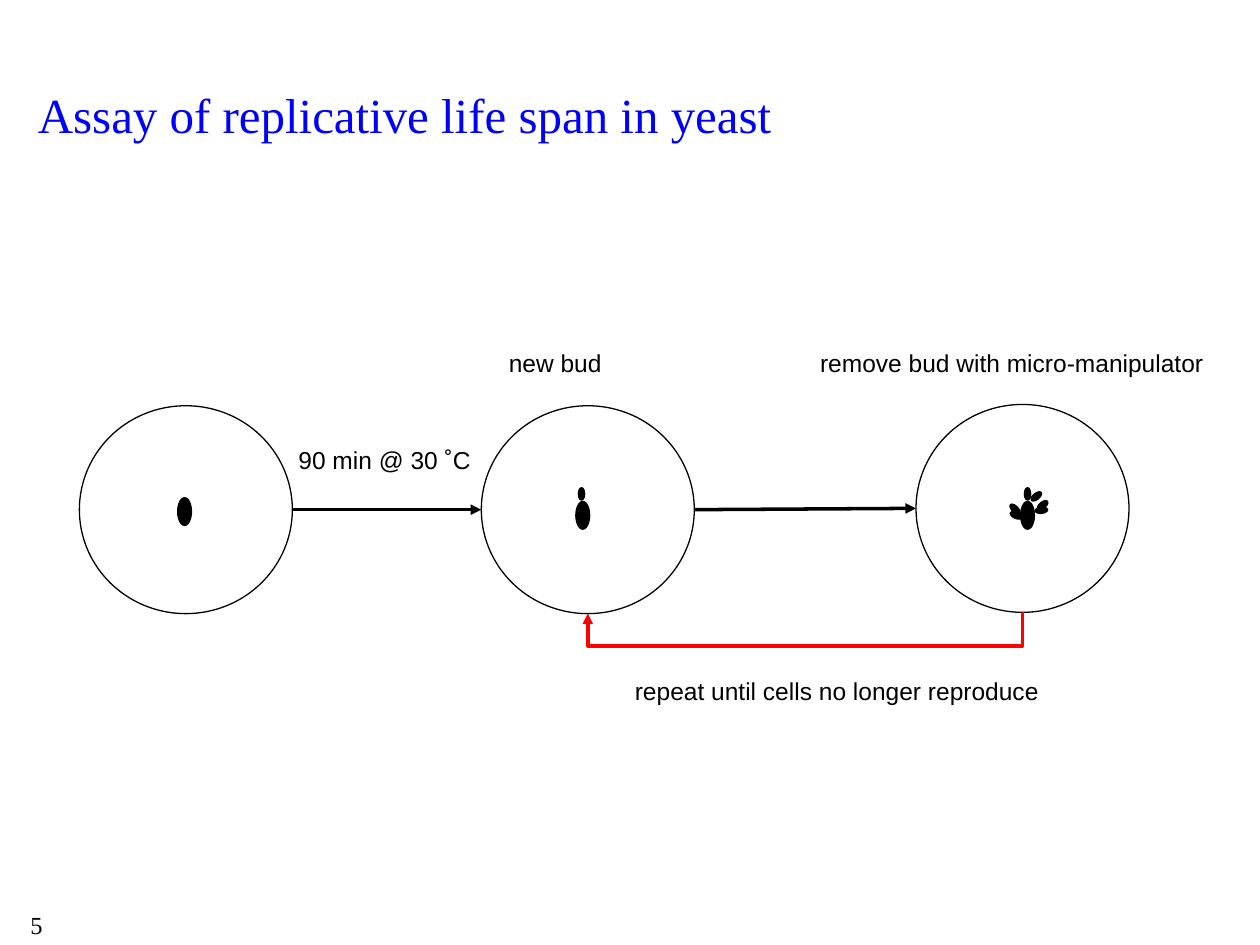
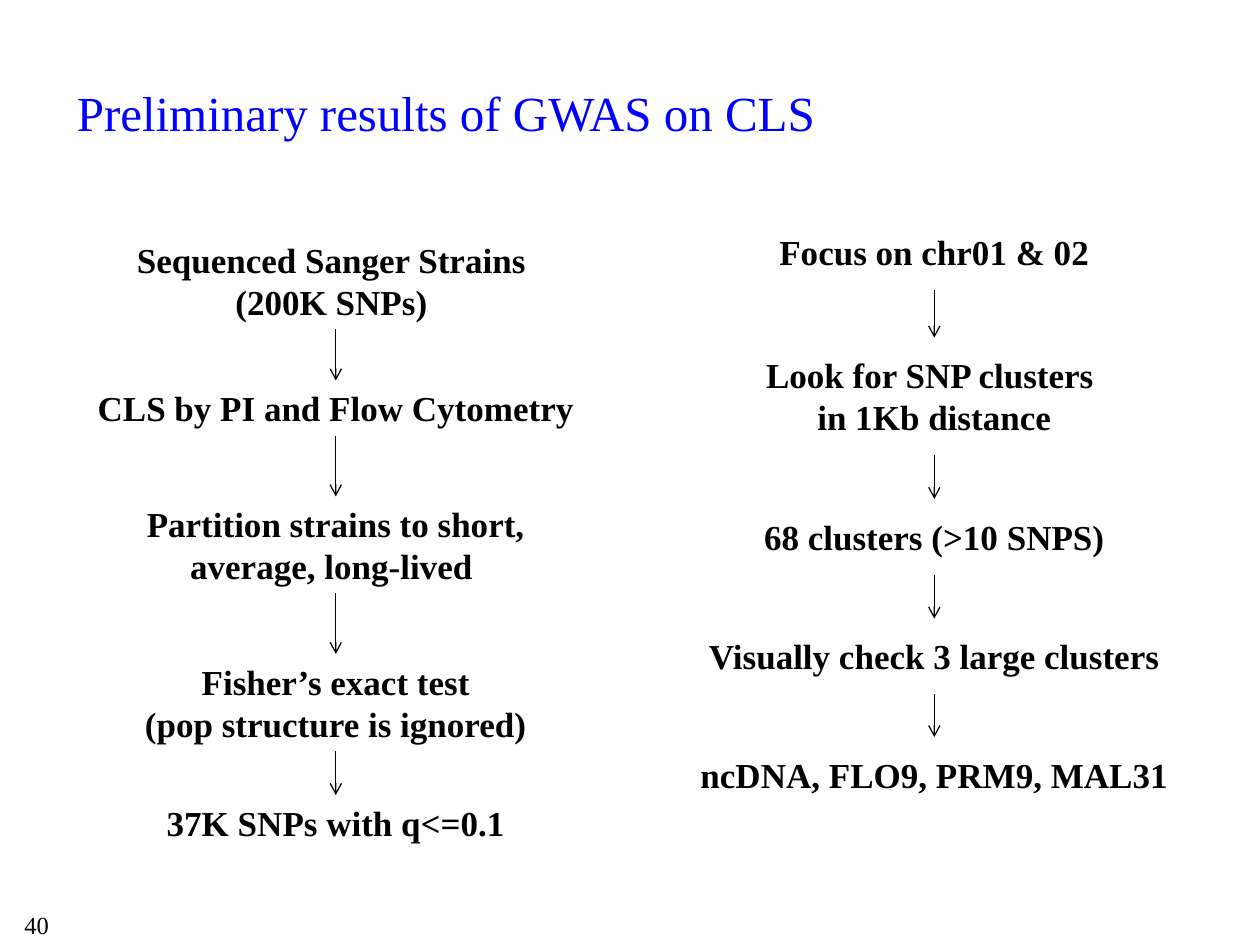
from dataclasses import dataclass

from lxml import etree
from pptx import Presentation
from pptx import util as u
from pptx.dml.color import RGBColor
from pptx.enum import shapes, text
from pptx.oxml.ns import qn


@dataclass(frozen=True)
class Theme:
    title_color: RGBColor = RGBColor(0x00, 0x00, 0xFF)
    ink: RGBColor = RGBColor(0x00, 0x00, 0x00)
    paper: RGBColor = RGBColor(0xFF, 0xFF, 0xFF)
    loop: RGBColor = RGBColor(0xFF, 0x00, 0x00)
    serif: str = "Times New Roman"
    sans: str = "Arial"
    thin: float = 0.75
    thick: float = 2


THEME = Theme()
TITLE = dict(name=THEME.serif, size=u.Pt(28), color=THEME.title_color)
STEP = dict(name=THEME.serif, size=u.Pt(20), color=THEME.ink, bold=True)
LABEL = dict(name=THEME.sans, size=u.Pt(14), color=THEME.ink)
PAGE = dict(name=THEME.serif, size=u.Pt(14), color=THEME.ink)

# All positions are cells of a grid of 100 columns by 75 rows.
WIDTH, HEIGHT = u.Inches(10), u.Inches(7.5)
CELL = WIDTH / 100

DISH = (16.9, 16.5)
MOTHER = (1.1, 2.2)
BUD = (0.5, 1.0)
ONE_LINE, NEXT_LINE = 4.4, 3.3


def grid(*lengths):
    return [u.Emu(round(length * CELL)) for length in lengths]


def write(frame, words, font_format, alignment):
    frame.word_wrap = True
    for index, line in enumerate(words.split("\n")):
        paragraph = frame.add_paragraph() if index else frame.paragraphs[0]
        paragraph.alignment = alignment
        run = paragraph.add_run()
        run.text = line
        for name, value in font_format.items():
            if name == "color":
                run.font.color.rgb = value
            else:
                setattr(run.font, name, value)


def add_text(slide, words, box, font_format, alignment=text.PP_ALIGN.LEFT):
    shape = slide.shapes.add_textbox(*grid(*box))
    write(shape.text_frame, words, font_format, alignment)


def add_slide(presentation, title, title_box, page):
    slide = presentation.slides.add_slide(presentation.slide_layouts[5])
    shape = slide.shapes.title
    for name, value in zip(("left", "top", "width", "height"), grid(*title_box)):
        setattr(shape, name, value)
    shape.text_frame.auto_size = text.MSO_AUTO_SIZE.NONE
    shape.text_frame.vertical_anchor = text.MSO_ANCHOR.MIDDLE
    write(shape.text_frame, title, TITLE, text.PP_ALIGN.LEFT)
    add_text(slide, page, (0, 71.7, 5.8, 3.3), PAGE, text.PP_ALIGN.CENTER)
    return slide


def add_ellipse(slide, center, size, fill, rotation=0):
    (x, y), (width, height) = center, size
    shape = slide.shapes.add_shape(
        shapes.MSO_SHAPE.OVAL, *grid(x - width / 2, y - height / 2, width, height))
    shape.shadow.inherit = False
    shape.fill.solid()
    shape.fill.fore_color.rgb = fill
    shape.line.color.rgb = THEME.ink
    shape.line.width = u.Pt(THEME.thin)
    shape.rotation = rotation


def add_dish(slide, center, mother, buds=()):
    """Draw a dish with a mother cell; buds are (dx, dy, rotation) from the cell."""
    add_ellipse(slide, center, DISH, THEME.paper)
    add_ellipse(slide, mother, MOTHER, THEME.ink)
    for dx, dy, rotation in buds:
        add_ellipse(slide, (mother[0] + dx, mother[1] + dy), BUD, THEME.ink, rotation)


def add_arrow(slide, start, end, color=THEME.ink, width=THEME.thin, head="arrow",
              kind=shapes.MSO_CONNECTOR.STRAIGHT):
    connector = slide.shapes.add_connector(kind, *grid(*start, *end))
    connector.line.color.rgb = color
    connector.line.width = u.Pt(width)
    properties = connector._element.spPr
    etree.SubElement(properties.find(qn("a:ln")), qn("a:tailEnd"), type=head)
    etree.SubElement(properties, qn("a:effectLst"))
    return connector


def add_return_arrow(slide, start, end, drop):
    """Elbow leading down by drop, left, and up: a bent connector turned by 90 degrees."""
    middle_x, middle_y = (start[0] + end[0]) / 2, (start[1] + end[1]) / 2
    across, down = (start[0] - end[0]) / 2, (end[1] - start[1]) / 2
    connector = add_arrow(
        slide, (middle_x - down, middle_y - across), (middle_x + down, middle_y + across),
        THEME.loop, THEME.thick, "triangle", shapes.MSO_CONNECTOR.ELBOW)
    properties = connector._element.spPr
    properties.find(qn("a:xfrm")).set("rot", str(90 * 60000))
    geometry = properties.find(qn("a:prstGeom"))
    adjustments = geometry.find(qn("a:avLst"))
    if adjustments is None:
        adjustments = etree.SubElement(geometry, qn("a:avLst"))
    share = round(drop / (2 * down) * 100000)
    etree.SubElement(adjustments, qn("a:gd"), name="adj1", fmla=f"val {share}")


def add_flow(slide, left, steps, arrow_inset):
    """Stack (top, line count, words) steps, with an arrow in each gap."""
    width = 40.3
    center = left + width / 2
    previous_bottom = None
    for top, lines, words in steps:
        height = ONE_LINE + NEXT_LINE * (lines - 1)
        add_text(slide, words, (left, top, width, height), STEP, text.PP_ALIGN.CENTER)
        if previous_bottom is not None:
            add_arrow(slide, (center, previous_bottom + arrow_inset),
                      (center, top - arrow_inset))
        previous_bottom = top + height


def build_assay(presentation):
    slide = add_slide(presentation, "Assay of replicative life span in yeast",
                      (2, 2.8, 98, 12.5), "5")
    single, budding, cleared = (14.75, 40.45), (46.65, 40.45), (81.15, 40.35)
    add_dish(slide, single, (14.65, 40.6))
    add_dish(slide, budding, (46.25, 40.9), [(-0.1, -1.7, 0)])
    add_dish(slide, cleared, (81.55, 40.9), [
        (0, -1.7, 0), (-1, -0.5, 314.9), (1.2, -0.8, 51),
        (0.7, -1.5, 51), (1.1, -0.4, 84.7), (-0.9, 0, 292.8)])

    radius_x, radius_y = DISH[0] / 2, DISH[1] / 2
    for source, target in ((single, budding), (budding, cleared)):
        add_arrow(slide, (source[0] + radius_x, source[1]),
                  (target[0] - radius_x, target[1]), width=THEME.thick, head="triangle")
    add_return_arrow(slide, (cleared[0], cleared[1] + radius_y),
                     (budding[0], budding[1] + radius_y), drop=2.7)

    for words, left, top, width in (
            ("90 min @ 30 ˚C", 22.7, 34.8, 16.2),
            ("new bud", 39.4, 27.1, 14.4),
            ("remove bud with micro-manipulator", 64.1, 27.1, 35.8),
            ("repeat until cells no longer reproduce", 49.4, 53.2, 36.9)):
        add_text(slide, words, (left, top, width, 3.3), LABEL)


def build_results(presentation):
    slide = add_slide(presentation, "Preliminary results of GWAS on CLS",
                      (5.1, 2.6, 85, 12.5), "40")
    add_flow(slide, 6.5, [
        (18.4, 2, "Sequenced Sanger Strains \n(200K SNPs) "),
        (30.2, 1, "CLS by PI and Flow Cytometry "),
        (39.4, 2, "Partition strains to short, average, long-lived "),
        (51.9, 2, "Fisher’s exact test\n(pop structure is ignored)"),
        (63.1, 1, "37K SNPs with q<=0.1")], arrow_inset=0)
    add_flow(slide, 54, [
        (17.8, 1, "Focus on chr01 & 02"),
        (27.6, 2, "Look for SNP clusters \nin 1Kb distance"),
        (40.4, 1, "68 clusters (>10 SNPS)"),
        (49.9, 1, "Visually check 3 large clusters"),
        (59.3, 1, "ncDNA, FLO9, PRM9, MAL31")], arrow_inset=0.8)


def main():
    presentation = Presentation()
    presentation.slide_width, presentation.slide_height = WIDTH, HEIGHT
    build_assay(presentation)
    build_results(presentation)
    presentation.save("out.pptx")


if __name__ == "__main__":
    main()
